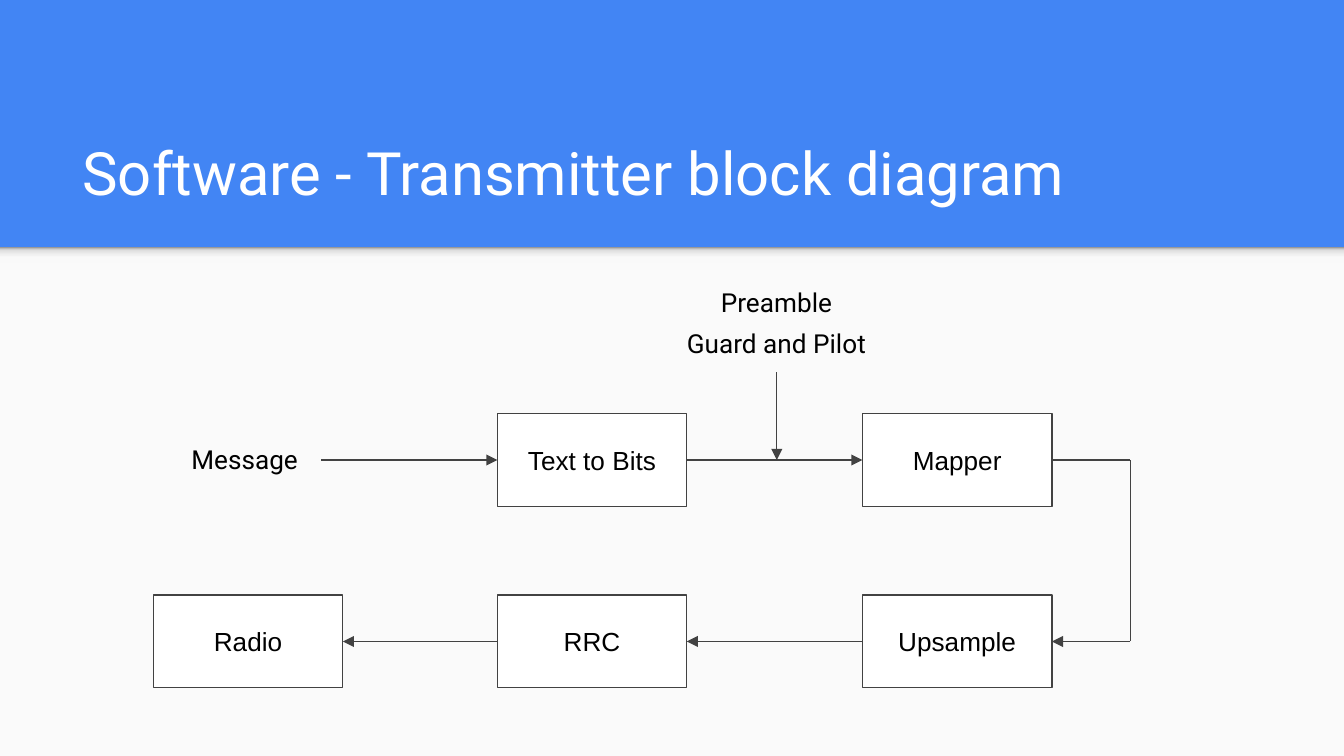
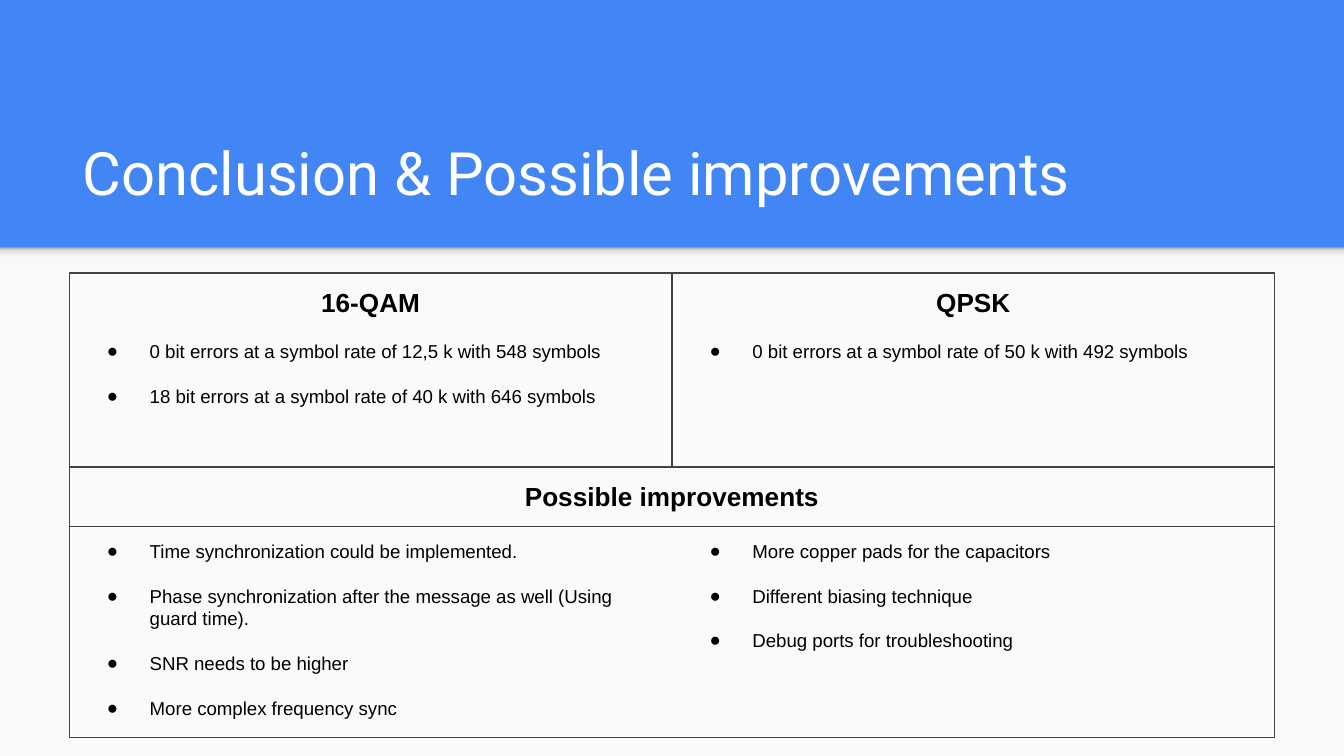
"""Build the transmitter diagram and conclusion slides."""
import copy

import pptx
import pptx.dml.color
import pptx.enum.shapes
import pptx.enum.text
import pptx.oxml
import pptx.oxml.ns
import pptx.util

Cm, Pt = pptx.util.Cm, pptx.util.Pt
qn = pptx.oxml.ns.qn
RECT = pptx.enum.shapes.MSO_SHAPE.RECTANGLE
STRAIGHT = pptx.enum.shapes.MSO_CONNECTOR.STRAIGHT
ALIGN = pptx.enum.text.PP_ALIGN
ANCHOR = pptx.enum.text.MSO_ANCHOR
NO_FIT = pptx.enum.text.MSO_AUTO_SIZE.NONE

COLORS = {"blue": "4285F4", "panel": "FAFAFA", "white": "FFFFFF",
          "line": "424242", "text": "000000"}
SHADOW_STOPS = [(0, "F9F9F9"), (0.36, "F9F9F9"), (0.8, "DEDEDE"), (1, "999999")]
WIDTH, HEIGHT, BAND = 25.4, 14.29, 4.67

DIAGRAM_TITLE = "Software - Transmitter block diagram"
COLUMNS, ROWS = (2.9, 9.4, 16.3), (7.82, 11.25)
BOX_W, BOX_H = 3.58, 1.75
BLOCKS = {"Text to Bits": (1, 0), "Mapper": (2, 0),
          "Upsample": (2, 1), "RRC": (1, 1), "Radio": (0, 1)}
LABELS = [("Message ", 3.3, 8.13, 2.77), ("Preamble", 13.29, 5.16, 2.77),
          ("Guard and Pilot", 12.63, 5.93, 4.09)]
LEFT, RIGHT = 1, 3

SUMMARY_TITLE = "Conclusion & Possible improvements"
IMPROVEMENTS = "Possible improvements"
MARGIN, COL_W = 1.31, 11.39
TOP_Y, TOP_H, HEAD_Y, HEAD_H, LIST_Y, LIST_H = 5.16, 3.67, 8.83, 1.12, 9.95, 3.99
LISTS = [
    (0, "16-QAM", ["0 bit errors at a symbol rate of 12,5 k with 548 symbols",
                   "18 bit errors at a symbol rate of 40 k with 646 symbols"]),
    (1, "QPSK", ["0 bit errors at a symbol rate of 50 k with 492 symbols"]),
    (0, None, ["Time synchronization could be implemented.",
               "Phase synchronization after the message as well (Using guard time).",
               "SNR needs to be higher",
               "More complex frequency sync"]),
    (1, None, ["More copper pads for the capacitors",
               "Different biasing technique",
               "Debug ports for troubleshooting"]),
]


def rgb(name):
    return pptx.dml.color.RGBColor.from_string(COLORS.get(name, name))


def place(sp, x, y, w, h):
    sp.left, sp.top, sp.width, sp.height = Cm(x), Cm(y), Cm(w), Cm(h)


def outline(sp):
    sp.line.color.rgb = rgb("line")
    sp.line.width = Pt(0.75)


def frame(sp, anchor=ANCHOR.TOP):
    tf = sp.text_frame
    tf.word_wrap = True
    tf.auto_size = NO_FIT
    tf.vertical_anchor = anchor
    tf.margin_left = tf.margin_right = tf.margin_top = tf.margin_bottom = Cm(0.25)
    return tf


def write(tf, text, size=14, font="Arial", color="text", bold=False,
          align=ALIGN.CENTER, bullet=False):
    first = not tf.text
    p = tf.paragraphs[0] if first else tf.add_paragraph()
    p.alignment = align
    p.space_before = Pt(0 if first else 12)
    p.space_after = Pt(0)
    pPr = p._p.get_or_add_pPr()
    pPr.set("marL", str(Cm(1.27) if bullet else 0))
    pPr.set("indent", str(Cm(-0.81) if bullet else 0))
    if bullet:
        ns = pptx.oxml.ns.nsdecls("a")
        pPr.append(pptx.oxml.parse_xml(
            f'<a:buClr {ns}><a:srgbClr val="{COLORS["text"]}"/></a:buClr>'))
        pPr.append(pptx.oxml.parse_xml(f'<a:buChar {ns} char="●"/>'))
    else:
        pPr.append(pPr.makeelement(qn("a:buNone"), {}))
    r = p.add_run()
    r.text = text
    r.font.size, r.font.name, r.font.bold = Pt(size), font, bold
    r.font.color.rgb = rgb(color)


def add_rect(s, x, y, w, h, fill=None, line=True):
    sp = s.shapes.add_shape(RECT, Cm(x), Cm(y), Cm(w), Cm(h))
    sp.shadow.inherit = False
    if fill:
        sp.fill.solid()
        sp.fill.fore_color.rgb = rgb(fill)
    else:
        sp.fill.background()
    if line:
        outline(sp)
    else:
        sp.line.fill.background()
    return sp


def add_line(s, start, end, arrow=True):
    cn = s.shapes.add_connector(STRAIGHT, 0, 0, 0, 0)
    if isinstance(start[0], (int, float)):
        cn.begin_x, cn.begin_y = Cm(start[0]), Cm(start[1])
    else:
        cn.begin_connect(*start)
    if isinstance(end[0], (int, float)):
        cn.end_x, cn.end_y = Cm(end[0]), Cm(end[1])
    else:
        cn.end_connect(*end)
    outline(cn)
    if arrow:
        ln = cn.line._get_or_add_ln()
        ln.append(ln.makeelement(qn("a:tailEnd"), {"type": "triangle"}))
    spPr = cn._element.spPr
    spPr.append(spPr.makeelement(qn("a:effectLst"), {}))


def style_master(prs, s):
    master = prs.slide_master
    master.background.fill.solid()
    master.background.fill.fore_color.rgb = rgb("blue")
    panel = add_rect(s, 0, BAND, WIDTH, HEIGHT - BAND, "panel", line=False)
    shadow = add_rect(s, 0, BAND, WIDTH, 0.3, "panel", line=False)
    shadow.fill.gradient()
    shadow.fill.gradient_angle = 90
    stops = shadow._element.spPr.find(".//" + qn("a:gsLst"))
    for _ in SHADOW_STOPS[2:]:
        stops.append(copy.deepcopy(stops[0]))
    for stop, (position, color) in zip(shadow.fill.gradient_stops, SHADOW_STOPS):
        stop.position = position
        stop.color.rgb = rgb(color)
    for i, sp in enumerate((panel, shadow)):
        master.shapes._spTree.insert(2 + i, sp._element)


def add_slide(prs, layout, title):
    s = prs.slides.add_slide(prs.slide_layouts.get_by_name(layout))
    place(s.shapes.title, MARGIN, 2.05, 22.83, 2.13)
    write(frame(s.shapes.title, ANCHOR.BOTTOM), title, size=32, font="Roboto",
          color="white", align=ALIGN.LEFT)
    return s


def fill_diagram(s):
    box = {}
    for name, (col, row) in BLOCKS.items():
        box[name] = add_rect(s, COLUMNS[col], ROWS[row], BOX_W, BOX_H, "white")
        write(frame(box[name], ANCHOR.MIDDLE), name)
    for text, x, y, w in LABELS:
        tb = s.shapes.add_textbox(Cm(x), Cm(y), Cm(w), Cm(1.12))
        write(frame(tb), text, font="Roboto")
    upper, lower = (y + BOX_H / 2 for y in ROWS)
    turn, inlet = 21.36, 14.68
    add_line(s, (6.07, upper), (box["Text to Bits"], LEFT))
    add_line(s, (box["Text to Bits"], RIGHT), (box["Mapper"], LEFT))
    add_line(s, (inlet, 7.04), (inlet, upper))
    add_line(s, (box["Mapper"], RIGHT), (turn, upper), arrow=False)
    add_line(s, (turn, upper), (turn, lower), arrow=False)
    add_line(s, (turn, lower), (box["Upsample"], RIGHT))
    add_line(s, (box["Upsample"], LEFT), (box["RRC"], RIGHT))
    add_line(s, (box["RRC"], LEFT), (box["Radio"], RIGHT))


def fill_summary(s):
    bodies = [ph for ph in s.placeholders if ph.placeholder_format.idx]
    for sp, (col, heading, items) in zip(bodies, LISTS):
        y, h = (TOP_Y, TOP_H) if heading else (LIST_Y, LIST_H)
        place(sp, MARGIN + col * COL_W, y, COL_W, h)
        tf = frame(sp)
        if heading:
            outline(sp)
            write(tf, heading, bold=True)
        for item in items:
            write(tf, item, size=10, align=ALIGN.LEFT, bullet=True)
    head = add_rect(s, MARGIN, HEAD_Y, 2 * COL_W, HEAD_H)
    write(frame(head), IMPROVEMENTS, bold=True)
    add_rect(s, MARGIN, LIST_Y, 2 * COL_W, LIST_H)


def main():
    prs = pptx.Presentation()
    prs.slide_width, prs.slide_height = Cm(WIDTH), Cm(HEIGHT)
    s = add_slide(prs, "Title Only", DIAGRAM_TITLE)
    style_master(prs, s)
    fill_diagram(s)
    fill_summary(add_slide(prs, "Comparison", SUMMARY_TITLE))
    prs.save("out.pptx")


if __name__ == "__main__":
    main()
